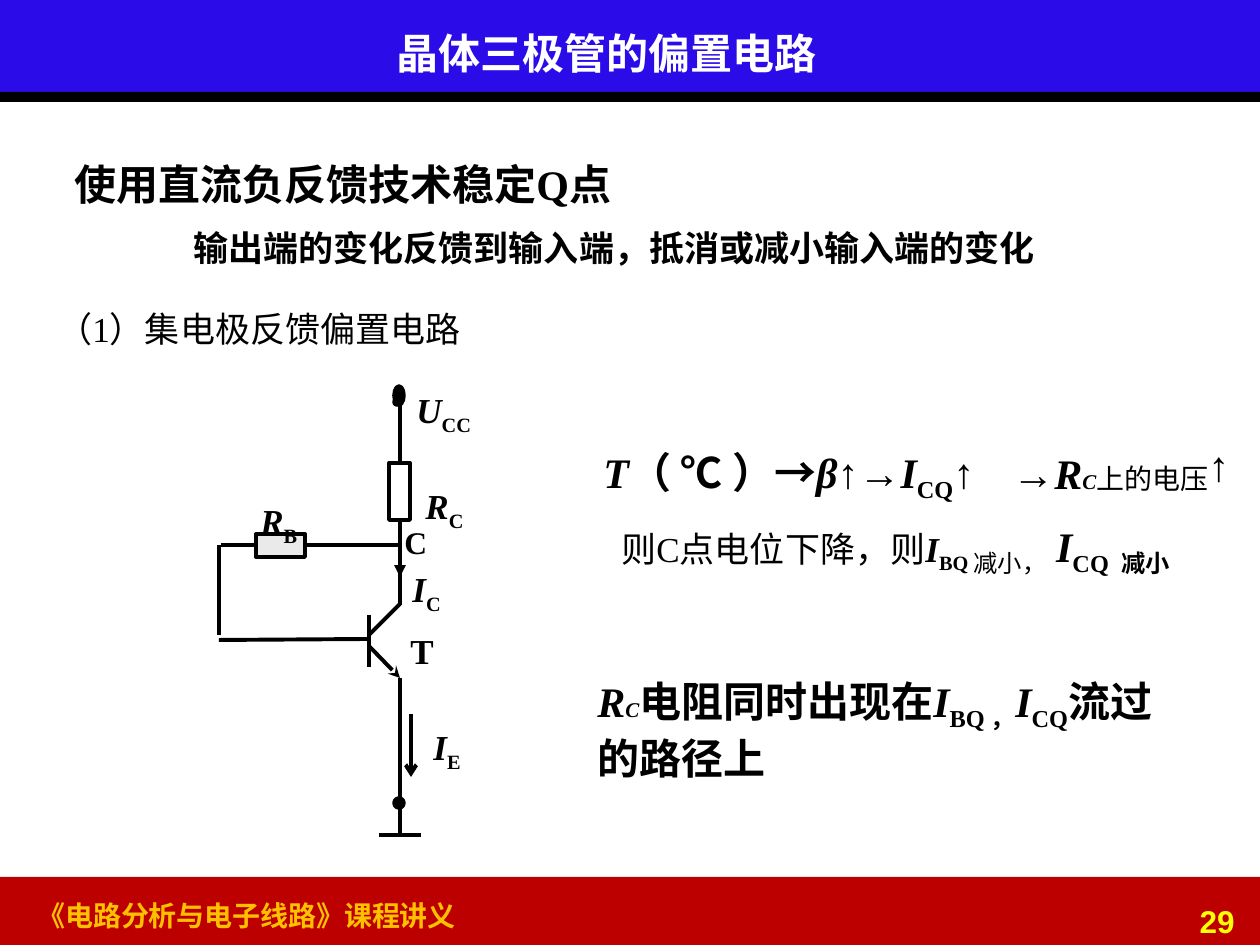
from dataclasses import dataclass

from lxml.etree import SubElement
from pptx import Presentation
from pptx.dml.color import RGBColor
from pptx.enum.shapes import MSO_CONNECTOR, MSO_SHAPE
from pptx.enum.text import MSO_ANCHOR, MSO_AUTO_SIZE, PP_ALIGN
from pptx.oxml.ns import qn
from pptx.util import Pt

PX = 914400 / 126


@dataclass(frozen=True)
class Theme:
    black: str = "000000"
    white: str = "FFFFFF"
    blue: str = "2B0CE8"
    red: str = "BC0000"
    gold: str = "FFC000"
    yellow: str = "FFFF00"
    resistor: str = "EAEAEA"
    serif: str = "Times New Roman"
    chinese: str = "Noto Sans CJK SC"
    sans: str = "Arial"
    heading: int = 24
    body: int = 20
    number: int = 18
    note: int = 16
    small: int = 12
    wire: float = 2.25
    terminal: int = 2


THEME = Theme()


def px(value):
    return round(value * PX)


def place(box, left, top, width, height):
    return px(box[0] + left), px(box[1] + top), px(width), px(height)


def add_run(paragraph, text, style="", size=THEME.body, color=THEME.black, font=THEME.serif):
    run = paragraph.add_run()
    run.text = text
    run.font.size = Pt(size)
    run.font.bold = "b" in style
    run.font.italic = "i" in style
    run.font.name = font
    run.font.color.rgb = RGBColor.from_string(color)
    properties = run.font._element
    SubElement(properties, qn("a:ea")).set("typeface", THEME.chinese)
    if "s" in style:
        properties.set("baseline", "-25000")


def fill_text(shape, runs, wrap=True, spacing=None, align=PP_ALIGN.LEFT, grow=True):
    frame = shape.text_frame
    frame.word_wrap = wrap
    frame.auto_size = MSO_AUTO_SIZE.SHAPE_TO_FIT_TEXT if grow else MSO_AUTO_SIZE.NONE
    frame.vertical_anchor = MSO_ANCHOR.TOP
    paragraph = frame.paragraphs[0]
    paragraph.alignment = align
    paragraph.space_before = Pt(0)
    if spacing:
        paragraph.line_spacing = spacing
    for run in runs:
        add_run(paragraph, *run)


def add_text(slide, box, position, runs, **options):
    fill_text(slide.shapes.add_textbox(*place(box, *position)), runs, **options)


def add_block(slide, box, position, kind=MSO_SHAPE.RECTANGLE, fill=None, line_width=None):
    shape = slide.shapes.add_shape(kind, *place(box, *position))
    shape.shadow.inherit = False
    if fill:
        shape.fill.solid()
        shape.fill.fore_color.rgb = RGBColor.from_string(fill)
    else:
        shape.fill.background()
    if line_width:
        shape.line.color.rgb = RGBColor.from_string(THEME.black)
        shape.line.width = Pt(line_width)
    else:
        shape.line.fill.background()


def add_wire(slide, box, start_x, start_y, end_x, end_y, arrow=None):
    wire = slide.shapes.add_connector(
        MSO_CONNECTOR.STRAIGHT,
        px(box[0] + start_x), px(box[1] + start_y), px(box[0] + end_x), px(box[1] + end_y))
    wire.line.color.rgb = RGBColor.from_string(THEME.black)
    wire.line.width = Pt(THEME.wire)
    if arrow:
        SubElement(wire.line._get_or_add_ln(), qn("a:tailEnd")).set("type", arrow)
    SubElement(wire._element.spPr, qn("a:effectLst"))


def add_header(slide, box):
    add_block(slide, box, (-2, 0, 1264, 96), fill=THEME.blue)
    add_block(slide, box, (-2, 92, 1264, 10), fill=THEME.black)
    title = slide.shapes.title
    title.left, title.top, title.width, title.height = place(box, 384, 11, 450, 68)
    title.element.getparent().append(title.element)
    fill_text(title, [("晶体三极管的偏置电路", "b", THEME.heading, THEME.white)],
              wrap=False, spacing=1.2)


def add_footer(slide, box):
    add_block(slide, box, (-2, 0, 1264, 71), fill=THEME.red)
    add_text(slide, box, (25, 15, 1111, 81),
             [("《电路分析与电子线路》课程讲义", "b", THEME.note, THEME.gold)])
    add_text(slide, box, (1129, 19, 118, 39),
             [("29", "b", THEME.number, THEME.yellow, THEME.sans)],
             align=PP_ALIGN.RIGHT, grow=False)


def add_introduction(slide, box):
    add_text(slide, box, (17, 0, 679, 63), [("使用直流负反馈技术稳定Q点", "b", THEME.heading)])
    add_text(slide, box, (136, 68, 1067, 55),
             [("输出端的变化反馈到输入端，抵消或减小输入端的变化", "b", THEME.body,
               THEME.black, THEME.chinese)])
    add_text(slide, box, (0, 149, 459, 55), [("（1）集电极反馈偏置电路",)])


def add_circuit(slide, box):
    rail, base, feedback = 200, 169, 19
    add_block(slide, box, (189, 103, 21, 57), line_width=THEME.wire)
    add_block(slide, box, (56, 174, 49, 23), fill=THEME.resistor, line_width=THEME.wire)
    wires = [
        (rail, 39, rail, 102), (rail, 160, rail, 245), (rail, 175, rail, 217, "triangle"),
        (base, 255, base, 307), (base, 275, rail, 244), (base, 286, rail, 318, "stealth"),
        (base, 279, feedback, 280), (feedback, 185, feedback, 275),
        (56, 185, 21, 185), (105, 185, rail, 185),
        (rail, 318, rail, 475), (179, 475, 221, 475), (211, 354, 211, 417, "arrow"),
    ]
    for wire in wires:
        add_wire(slide, box, *wire)
    for dot in [(194, 438, 10, 10), (194, 39, 6, 6), (194, 26, 10, 19)]:
        add_block(slide, box, dot, MSO_SHAPE.OVAL, THEME.black, THEME.terminal)
    labels = [
        ("U", "CC", 204, 4, 86), ("R", "C", 213, 100, 66), ("R", "B", 48, 115, 64),
        ("I", "C", 200, 183, 57), ("I", "E", 221, 341, 55),
    ]
    for symbol, subscript, left, top, width in labels:
        add_text(slide, box, (left, top + 4, width, 68),
                 [(symbol, "bi"), (subscript, "bs")], wrap=False, spacing=1.3)
    add_text(slide, box, (198, 251, 49, 67), [("T", "b")], wrap=False, spacing=1.3)
    add_text(slide, box, (192, 157, 45, 50), [("C", "b", THEME.number)])


def add_explanation(slide, box):
    large = THEME.heading
    add_text(slide, box, (6, 0, 620, 78),
             [("T", "bi", large), ("（ ℃ ）→", "b", large), ("β", "bi", large),
              ("↑→", "b", large), ("I", "bi", large), ("CQ", "bs", large),
              ("↑", "b", large)], spacing=1.3)
    add_text(slide, box, (415, 18, 247, 64),
             [("→", "b", large), ("R", "bi", large), ("C", "bi", THEME.small),
              ("上的电压", "", THEME.note)])
    add_text(slide, box, (611, 10, 47, 63), [("↑", "b", large)], wrap=False)
    add_text(slide, box, (24, 91, 634, 63),
             [("则C点电位下降，则",), ("I", "bi"), ("BQ ", "bs"), ("减小，", "s", large),
              (" I", "bi", large), ("CQ  减小", "bs", large)])
    add_text(slide, box, (0, 246, 605, 115),
             [("R", "bi", large), ("C", "bi", THEME.small), ("电阻同时出现在", "b", large),
              ("I", "bi", large), ("BQ ，", "bs", large), ("I", "bi", large),
              ("CQ", "bs", large), ("流过的路径上", "b", large)])


def main():
    presentation = Presentation()
    presentation.slide_width, presentation.slide_height = px(1260), px(945)
    slide = presentation.slides.add_slide(presentation.slide_layouts[5])
    add_header(slide, (0, 0))
    add_footer(slide, (0, 877))
    add_introduction(slide, (45, 152))
    add_circuit(slide, (200, 360))
    add_explanation(slide, (585, 423))
    presentation.save("out.pptx")


if __name__ == "__main__":
    main()
